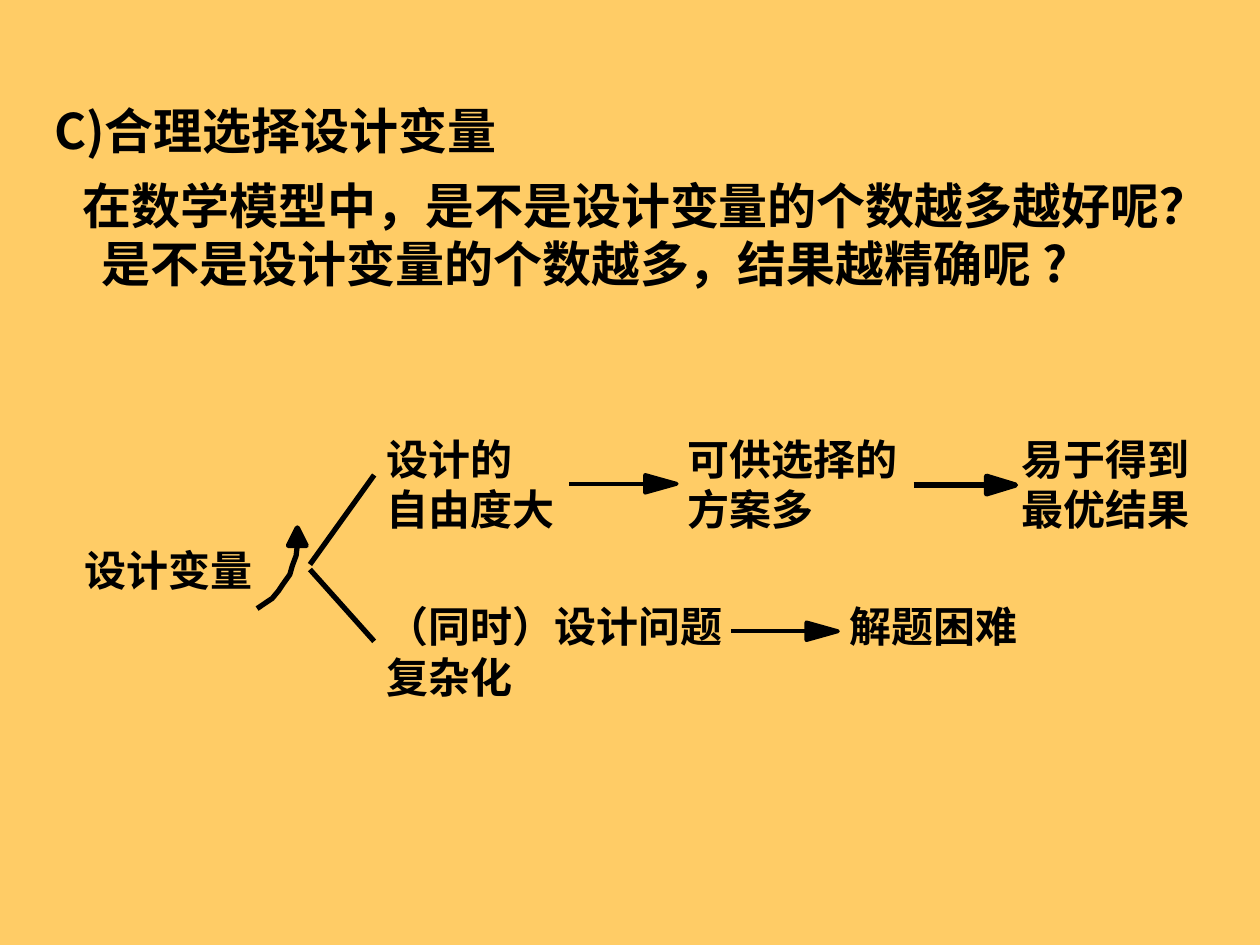
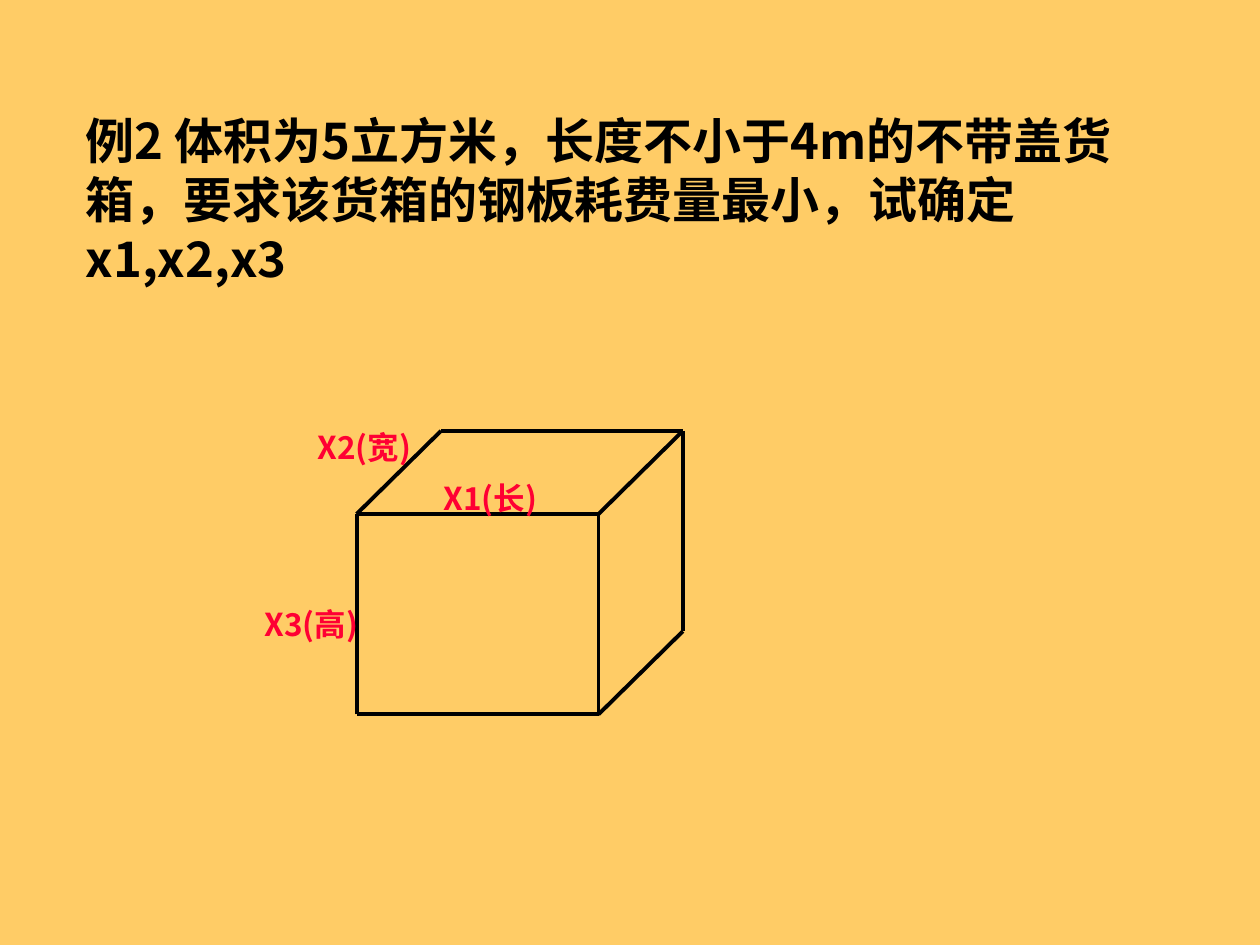
from dataclasses import dataclass

from lxml import etree
from pptx import Presentation
from pptx.dml.color import RGBColor
from pptx.enum.shapes import MSO_CONNECTOR
from pptx.enum.text import MSO_ANCHOR, MSO_AUTO_SIZE, PP_ALIGN
from pptx.oxml.ns import qn
from pptx.util import Pt

STRAIGHT = MSO_CONNECTOR.STRAIGHT
TOP = MSO_ANCHOR.TOP
LEFT = PP_ALIGN.LEFT
FIXED = MSO_AUTO_SIZE.NONE
TITLE_ONLY = 5
PX = 9144


@dataclass(frozen=True)
class Theme:
    """Colours, font, type sizes and line widths of the deck."""

    background: RGBColor = RGBColor(0xFF, 0xCC, 0x66)
    ink: RGBColor = RGBColor(0, 0, 0)
    accent: RGBColor = RGBColor(0xFF, 0x00, 0x33)
    font: str = "Noto Sans CJK SC"
    heading: int = 28
    step: int = 24
    label: int = 18
    thin: float = 2.25
    thick: float = 3


class Page:
    """Draws elements on the current slide in the deck's style."""

    def __init__(self, deck, theme):
        self.deck = deck
        self.theme = theme
        self.slide = None

    def start(self):
        layout = self.deck.slide_layouts[TITLE_ONLY]
        self.slide = self.deck.slides.add_slide(layout)

    def fill_text(self, box, lines, size, color, inset=(10, 5), wrap=True):
        frame = box.text_frame
        frame.auto_size = FIXED
        frame.word_wrap = wrap
        frame.vertical_anchor = TOP
        frame.margin_left = frame.margin_right = inset[0] * PX
        frame.margin_top = frame.margin_bottom = inset[1] * PX
        for index, line in enumerate(lines):
            para = frame.add_paragraph() if index else frame.paragraphs[0]
            para.alignment = LEFT
            para.space_before = Pt(0)
            span = para.add_run()
            span.text = line
            span.font.name = self.theme.font
            span.font.size = Pt(size)
            span.font.bold = True
            span.font.color.rgb = color
            east_asian = etree.SubElement(span.font._element, qn("a:ea"))
            east_asian.set("typeface", self.theme.font)

    def title(self, text, left, top, width, height):
        box = self.slide.shapes.title
        box.left, box.top = left * PX, top * PX
        box.width, box.height = width * PX, height * PX
        self.fill_text(box, [text], self.theme.heading, self.theme.ink)

    def text_box(self, left, top, width, height):
        return self.slide.shapes.add_textbox(
            left * PX, top * PX, width * PX, height * PX)

    def body(self, text, left, top, width, height, margin, indent):
        box = self.text_box(left, top, width, height)
        self.fill_text(box, [text], self.theme.heading, self.theme.ink)
        properties = box.text_frame.paragraphs[0]._p.get_or_add_pPr()
        properties.set("marL", str(margin * PX))
        properties.set("indent", str(indent * PX))

    def step(self, lines, left, top, width):
        box = self.text_box(left, top, width, 40 * len(lines))
        self.fill_text(box, lines, self.theme.step, self.theme.ink, (0, 0), False)

    def label(self, text, left, top):
        box = self.text_box(left, top, 108, 40)
        self.fill_text(box, [text], self.theme.label, self.theme.accent)

    def line(self, start, end, weight):
        ends = [value * PX for value in (*start, *end)]
        connector = self.slide.shapes.add_connector(STRAIGHT, *ends)
        connector.line.color.rgb = self.theme.ink
        connector.line.width = Pt(weight)
        etree.SubElement(connector._element.spPr, qn("a:effectLst"))

    def outline(self, points, weight, closed):
        builder = self.slide.shapes.build_freeform(*points[0], scale=PX)
        builder.add_line_segments(points[1:], close=closed)
        shape = builder.convert_to_shape()
        shape.shadow.inherit = False
        shape.line.color.rgb = self.theme.ink
        shape.line.width = Pt(weight)
        if closed:
            shape.fill.solid()
            shape.fill.fore_color.rgb = self.theme.ink
        else:
            shape.fill.background()

    def arrow(self, left, right, y, head, weight):
        neck = right - head
        self.line((left, y), (neck + 1, y), weight)
        self.outline([(neck, y + 7), (right, y), (neck, y - 7)], weight, True)


def build_variables(page):
    """Shows what the number of design variables leads to."""
    thin, thick = page.theme.thin, page.theme.thick
    page.start()
    page.title("C)合理选择设计变量", 33, 75, 917, 59)
    page.body("在数学模型中，是不是设计变量的个数越多越好呢？"
              "是不是设计变量的个数越多，结果越精确呢 ?",
              33, 134, 917, 124, 38, -15)
    upper, lower = 344, 477
    page.step(["设计的", "自由度大"], 307, upper, 133)
    page.step(["可供选择的", "方案多"], 546, upper, 167)
    page.step(["易于得到", "最优结果"], 811, upper, 133)
    page.step(["设计变量"], 67, 432, 145)
    page.step(["（同时）设计问题", "复杂化"], 307, lower, 267)
    page.step(["解题困难"], 674, lower, 138)
    rise = [(204, 483), (210, 479), (216, 475), (221, 469), (225, 463),
            (230, 456), (232, 449), (235, 441), (236, 432)]
    page.outline(rise, thick, False)
    page.outline([(243, 433), (236, 419), (229, 433)], thick, True)
    page.line((297, 377), (246, 448), thick)
    page.line((246, 452), (297, 509), thick)
    page.arrow(452, 537, 384, 25, thin)
    page.arrow(725, 806, 385, 23, thick)
    page.arrow(580, 665, 501, 25, thin)


def build_container(page):
    """Shows the open container and its three dimensions."""
    page.start()
    page.title("例2 体积为5立方米，长度不小于4m的不带盖货箱，"
               "要求该货箱的钢板耗费量最小，试确定x1,x2,x3",
               58, 83, 859, 150)
    left, right, top, bottom = 283, 475, 408, 567
    front = {"top_left": (left, top), "top_right": (right, top),
             "bottom_left": (left, bottom), "bottom_right": (right, bottom)}
    back = {name: (x + 67, y - 66) for name, (x, y) in front.items()}
    edges = [(front["top_left"], front["top_right"]),
             (front["bottom_left"], front["bottom_right"]),
             (front["bottom_left"], front["top_left"]),
             (front["bottom_right"], front["top_right"]),
             (back["top_left"], back["top_right"]),
             (back["top_right"], back["bottom_right"])]
    edges += [(front[name], back[name])
              for name in ("top_left", "top_right", "bottom_right")]
    for start, end in edges:
        page.line(start, end, page.theme.thin)
    page.label("X1(长)", 342, 375)
    page.label("X2(宽)", 242, 335)
    page.label("X3(高)", 200, 475)


def main():
    """Builds and saves the deck."""
    deck = Presentation()
    deck.slide_width, deck.slide_height = 1000 * PX, 750 * PX
    theme = Theme()
    fill = deck.slide_master.background.fill
    fill.solid()
    fill.fore_color.rgb = theme.background
    page = Page(deck, theme)
    build_variables(page)
    build_container(page)
    deck.save("out.pptx")


if __name__ == "__main__":
    main()
